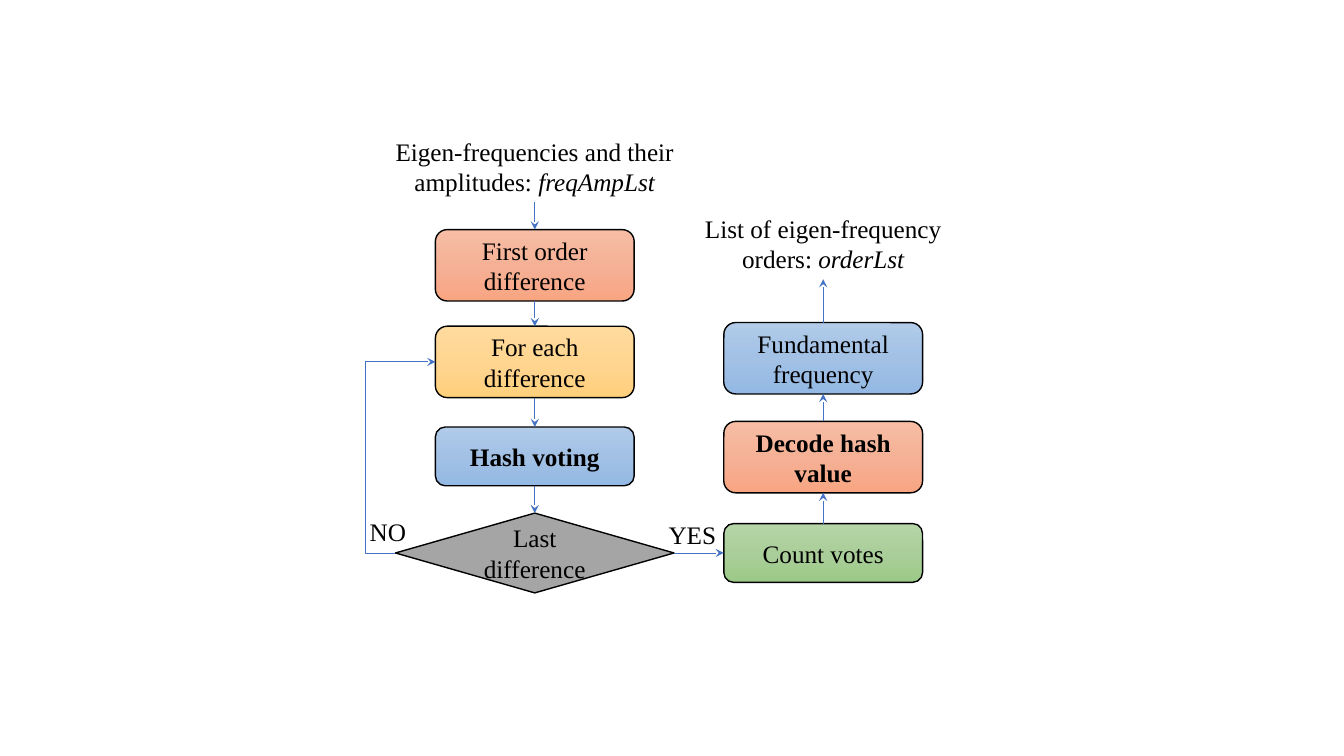
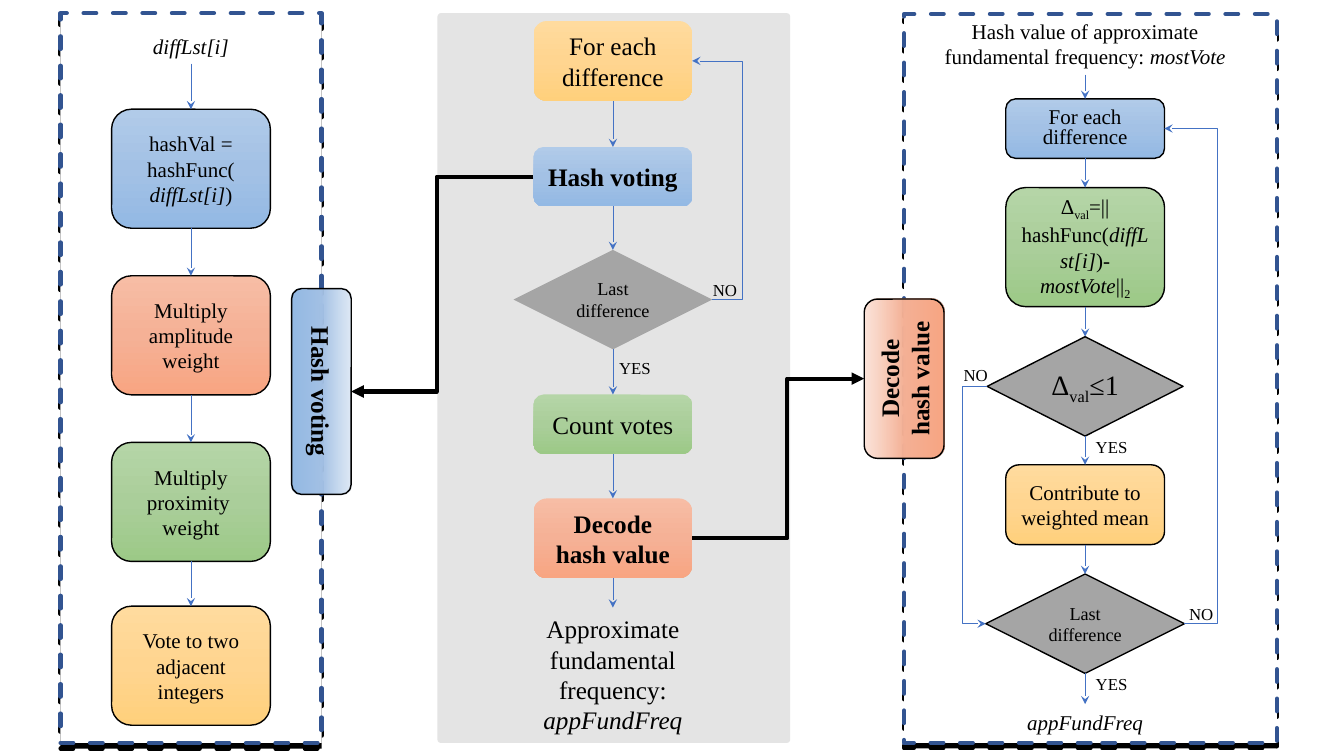
"""Build two flowchart slides on eigen-frequency hash voting."""
import dataclasses
import itertools
import typing

import lxml.etree
import pptx
import pptx.dml.color
import pptx.enum.dml
import pptx.enum.shapes
import pptx.enum.text
import pptx.oxml.ns
import pptx.util

Pt = pptx.util.Pt
qn = pptx.oxml.ns.qn
SHAPES = pptx.enum.shapes.MSO_SHAPE
CONNECTORS = pptx.enum.shapes.MSO_CONNECTOR


@dataclasses.dataclass(frozen=True)
class Theme:
    """Colours, font and type sizes of the deck."""
    font: str = "Times New Roman"
    ink: str = "000000"
    paper: str = "FFFFFF"
    arrow: str = "4472C4"
    frame: str = "325491"
    backdrop: str = "D9D9D9"
    decision: str = "A5A5A5"
    red: tuple = ("F7BDA5", "F5B196", "F8A582")
    blue: tuple = ("B1CBE9", "A3C1E5", "93B9E4")
    yellow: tuple = ("FFDB9E", "FFD590", "FFD07C")
    green: tuple = ("B5D5A7", "AACE9A", "9CC987")
    large: int = 18
    formula: int = 20
    body: int = 15
    small: int = 13
    label: int = 12


THEME = Theme()


@dataclasses.dataclass
class Step:
    """One step of a flow; the paragraphs hold strings or (text, style) runs."""
    key: str
    look: typing.Optional[str]
    top: float
    height: float
    paragraphs: list
    width: float = 0
    size: int = 0
    bold: bool = False
    spacing: typing.Optional[float] = None
    rotation: int = 0
    faded: bool = False


@dataclasses.dataclass
class Column:
    """A chain of steps on one centre line, listed in flow order."""
    centre: float
    width: float
    size: int
    steps: list
    outlined: bool = True
    panel: typing.Optional[tuple] = None
    tab: typing.Optional[tuple] = None
    branches: tuple = ()
    labels: tuple = ()


@dataclasses.dataclass
class Branch:
    """An arrow between two sides; turn is the x of its vertical part."""
    start: tuple
    end: tuple
    turn: typing.Optional[float] = None


OVERVIEW = [
    Column(382, 142, THEME.large, [
        Step("input", None, 93.6, 51, [
            ["Eigen-frequencies and their amplitudes: ", ("freqAmpLst", "italic")]], 241),
        Step("first", "red", 164, 51, ["First order difference"]),
        Step("each", "yellow", 233, 51, ["For each difference"]),
        Step("vote", "blue", 305, 42, ["Hash voting"], bold=True),
        Step("last", "decision", 366.5, 57, ["Last difference"], 199),
    ], branches=(Branch(("last", "left"), ("each", "left"), 260.6),),
        labels=(("NO", 277, 365), ("YES", 494.6, 367))),
    Column(588, 142, THEME.large, [
        Step("count", "green", 374, 42, ["Count votes"]),
        Step("decode", "red", 301, 51, ["Decode hash value"], bold=True),
        Step("fundamental", "blue", 230.4, 51, ["Fundamental frequency"]),
        Step("orders", None, 148.4, 51, [
            ["List of eigen-frequency orders: ", ("orderLst", "italic")]], 203),
    ], branches=(Branch(("last", "right"), ("count", "left")),)),
]

DETAIL = [
    Column(437.8, 113.4, THEME.large, [
        Step("each", "yellow", 15, 57, ["For each difference"]),
        Step("vote", "blue", 105, 42.5, ["Hash voting"], bold=True),
        Step("last", "decision", 178.5, 71, ["Last", "difference"], 142, THEME.small),
        Step("count", "green", 281.8, 42.5, ["Count votes"]),
        Step("decode", "red", 356, 57, ["Decode hash value"], bold=True),
        Step("result", None, 434, 95, [
            ["Approximate fundamental frequency: ", ("appFundFreq", "italic")]], 142),
    ], outlined=False, panel=("backdrop", 312.5, 9.4, 252, 521.3),
        branches=(Branch(("last", "right"), ("each", "right"), 530.6),),
        labels=(("NO", 517.8, 196), ("YES", 453.6, 252))),
    Column(136.4, 113.4, THEME.body, [
        Step("item", None, 20.5, 25, [[("diffLst[i]", "italic")]], 80),
        Step("hash", "blue", 78, 85, [
            "hashVal = hashFunc(", [("diffLst[i]", "italic"), ")"]]),
        Step("amplitude", "red", 197, 85, ["Multiply amplitude weight"]),
        Step("proximity", "green", 316, 85, ["Multiply", "proximity ", "weight"]),
        Step("integers", "yellow", 433, 85, ["Vote to two adjacent integers"]),
    ], panel=("frame", 43.2, 9.4, 186.5, 521.3),
        tab=(229.6, Step("vote tab", "blue", 258.4, 42.5, ["Hash voting"], 147,
                         THEME.large, True, rotation=90, faded=True))),
    Column(775.1, 113.4, THEME.body, [
        Step("hash value", None, 9.4, 44, [
            ["Hash value of approximate fundamental frequency: ",
             ("mostVote", "italic")]], 220),
        Step("each right", "blue", 70.6, 42.5, ["For each difference"], spacing=0.8),
        Step("delta", "green", 134, 85, [
            ["Δ", ("val", "sub"), "=||hashFunc(", ("diffLst[i]", "italic"), ")-",
             ("mostVote", "italic"), "||", ("2", "sub")]]),
        Step("check", "decision", 240.5, 71, [["Δ", ("val", "sub"), "≤1"]], 140,
             THEME.formula),
        Step("mean", "yellow", 332, 57, ["Contribute to weighted mean"]),
        Step("last right", "decision", 410, 71, ["Last difference"], 142, THEME.small),
        Step("answer", None, 503, 25, [[("appFundFreq", "italic")]], 142),
    ], panel=("frame", 645.8, 10, 266.4, 520.6),
        tab=(645.8, Step("decode tab", "red", 242, 57, ["Decode hash value"], 113.8,
                         THEME.large, True, rotation=270, faded=True)),
        branches=(Branch(("last right", "right"), ("each right", "right"), 869.8),
                  Branch(("check", "left"), ("last right", "left"), 687)),
        labels=(("NO", 858, 427.7), ("YES", 794, 308), ("YES", 794, 478),
                ("NO", 697, 257))),
]

CALLOUTS = [
    Branch(("vote", "left"), ("vote tab", "right"), 312),
    Branch(("decode", "right"), ("decode tab", "left"), 562.4),
]

SITES = ("top", "left", "bottom", "right")


def rgb(code):
    """Turn a hex code into a colour."""
    return pptx.dml.color.RGBColor.from_string(code)


def add_node(parent, tag, **attributes):
    """Append a drawing element with the given attributes."""
    return lxml.etree.SubElement(
        parent, qn(tag), {name: str(value) for name, value in attributes.items()})


def fill_gradient(shape, colours, faded):
    """Fill top to bottom with three stops, the first one optionally translucent."""
    shape.fill.gradient()
    shape.fill.gradient_angle = 270
    stops = shape._element.spPr.find(qn("a:gradFill")).find(qn("a:gsLst"))
    for stop in list(stops):
        stops.remove(stop)
    for position, code in zip((0, 50000, 100000), colours):
        colour = add_node(add_node(stops, "a:gs", pos=position), "a:srgbClr", val=code)
        if faded and position == 0:
            add_node(colour, "a:alpha", val=40000)


def write_text(shape, paragraphs, size, bold=False, spacing=None, wrap=True):
    """Write centred paragraphs into a shape."""
    frame = shape.text_frame
    frame.word_wrap = wrap
    frame.vertical_anchor = pptx.enum.text.MSO_ANCHOR.MIDDLE
    for index, content in enumerate(paragraphs):
        paragraph = frame.add_paragraph() if index else frame.paragraphs[0]
        paragraph.alignment = pptx.enum.text.PP_ALIGN.CENTER
        paragraph.line_spacing = spacing
        font = paragraph.font
        font.name, font.size, font.bold = THEME.font, Pt(size), bold
        font.color.rgb = rgb(THEME.ink)
        for part in [content] if isinstance(content, str) else content:
            text, style = (part, None) if isinstance(part, str) else part
            run = paragraph.add_run()
            run.text = text
            if style == "italic":
                run.font.italic = True
            elif style == "sub":
                run._r.get_or_add_rPr().set("baseline", "-25000")


def add_panel(slide, look, *bounds):
    """Draw the grey backdrop or the dashed frame behind a column."""
    plain = look == "backdrop"
    panel = slide.shapes.add_shape(
        SHAPES.ROUNDED_RECTANGLE if plain else SHAPES.RECTANGLE, *map(Pt, bounds))
    panel.shadow.inherit = False
    panel.fill.solid()
    panel.fill.fore_color.rgb = rgb(THEME.backdrop if plain else THEME.paper)
    properties = panel._element.spPr
    if plain:
        panel.adjustments[0] = 0.01
        panel.line.fill.background()
        colour = properties.find(qn("a:solidFill")).find(qn("a:srgbClr"))
        add_node(colour, "a:alpha", val=70000)
    else:
        panel.line.color.rgb = rgb(THEME.frame)
        panel.line.width = Pt(3)
        panel.line.dash_style = pptx.enum.dml.MSO_LINE.DASH
        properties.find(qn("a:ln")).set("cap", "rnd")
        shadow = add_node(properties.find(qn("a:effectLst")), "a:outerShdw",
                          blurRad=0, dist=Pt(4), dir=5400000, algn="t", rotWithShape=0)
        add_node(shadow, "a:srgbClr", val=THEME.ink)


def add_step(slide, step, centre, column):
    """Draw one step centred on a vertical line."""
    width = step.width or column.width
    bounds = [Pt(value) for value in (centre - width / 2, step.top, width, step.height)]
    if step.look is None:
        shape = slide.shapes.add_textbox(*bounds)
    else:
        decision = step.look == "decision"
        shape = slide.shapes.add_shape(
            SHAPES.FLOWCHART_DECISION if decision else SHAPES.ROUNDED_RECTANGLE, *bounds)
        shape.shadow.inherit = False
        shape.rotation = step.rotation
        if decision:
            shape.fill.solid()
            shape.fill.fore_color.rgb = rgb(THEME.decision)
        else:
            fill_gradient(shape, getattr(THEME, step.look), step.faded)
        if column.outlined:
            shape.line.color.rgb = rgb(THEME.ink)
            shape.line.width = Pt(1)
        else:
            shape.line.fill.background()
    write_text(shape, step.paragraphs, step.size or column.size, step.bold, step.spacing)
    return shape


def side_point(shape, side):
    """Give the middle of a side as it shows after rotation."""
    x, y = shape.left + shape.width // 2, shape.top + shape.height // 2
    width, height = shape.width, shape.height
    if shape.rotation % 180:
        width, height = height, width
    across, down = {"top": (0, -1), "left": (-1, 0),
                    "bottom": (0, 1), "right": (1, 0)}[side]
    return x + across * width // 2, y + down * height // 2


def add_arrow(slide, steps, branch, colour=THEME.arrow, weight=0.5, head="stealth"):
    """Join two steps with a straight or elbowed arrow."""
    (source, source_side), (target, target_side) = branch.start, branch.end
    start = side_point(steps[source], source_side)
    end = side_point(steps[target], target_side)
    straight = branch.turn is None
    arrow = slide.shapes.add_connector(
        CONNECTORS.STRAIGHT if straight else CONNECTORS.ELBOW, *start, *end)
    properties = arrow._element.spPr
    if straight:
        arrow.begin_connect(steps[source], SITES.index(source_side))
        arrow.end_connect(steps[target], SITES.index(target_side))
    else:
        bend = round((Pt(branch.turn) - start[0]) / (end[0] - start[0]) * 100000)
        guides = properties.find(qn("a:prstGeom")).find(qn("a:avLst"))
        add_node(guides, "a:gd", name="adj1", fmla=f"val {bend}")
    arrow.line.color.rgb = rgb(colour)
    arrow.line.width = Pt(weight)
    add_node(properties.find(qn("a:ln")), "a:tailEnd", type=head)
    add_node(properties, "a:effectLst")


def build_slide(deck, columns, label_size, callouts=()):
    """Draw all columns of one slide, then the arrows between columns."""
    slide = deck.slides.add_slide(deck.slide_layouts[6])
    steps = {}
    for column in columns:
        if column.panel:
            add_panel(slide, *column.panel)
        for step in column.steps:
            steps[step.key] = add_step(slide, step, column.centre, column)
        if column.tab:
            centre, tab = column.tab
            steps[tab.key] = add_step(slide, tab, centre, column)
        for first, second in itertools.pairwise(column.steps):
            sides = ("bottom", "top") if first.top < second.top else ("top", "bottom")
            add_arrow(slide, steps, Branch((first.key, sides[0]), (second.key, sides[1])))
        for branch in column.branches:
            add_arrow(slide, steps, branch)
        for text, centre, top in column.labels:
            label = slide.shapes.add_textbox(
                Pt(centre - 25), Pt(top), Pt(50), Pt(label_size * 1.2 + 7.2))
            write_text(label, [text], label_size, wrap=False)
    for callout in callouts:
        add_arrow(slide, steps, callout, THEME.ink, 3, "triangle")


def main():
    """Build and save the deck."""
    deck = pptx.Presentation()
    deck.slide_width, deck.slide_height = Pt(960), Pt(540)
    build_slide(deck, OVERVIEW, THEME.large)
    build_slide(deck, DETAIL, THEME.label, CALLOUTS)
    deck.save("out.pptx")


if __name__ == "__main__":
    main()
